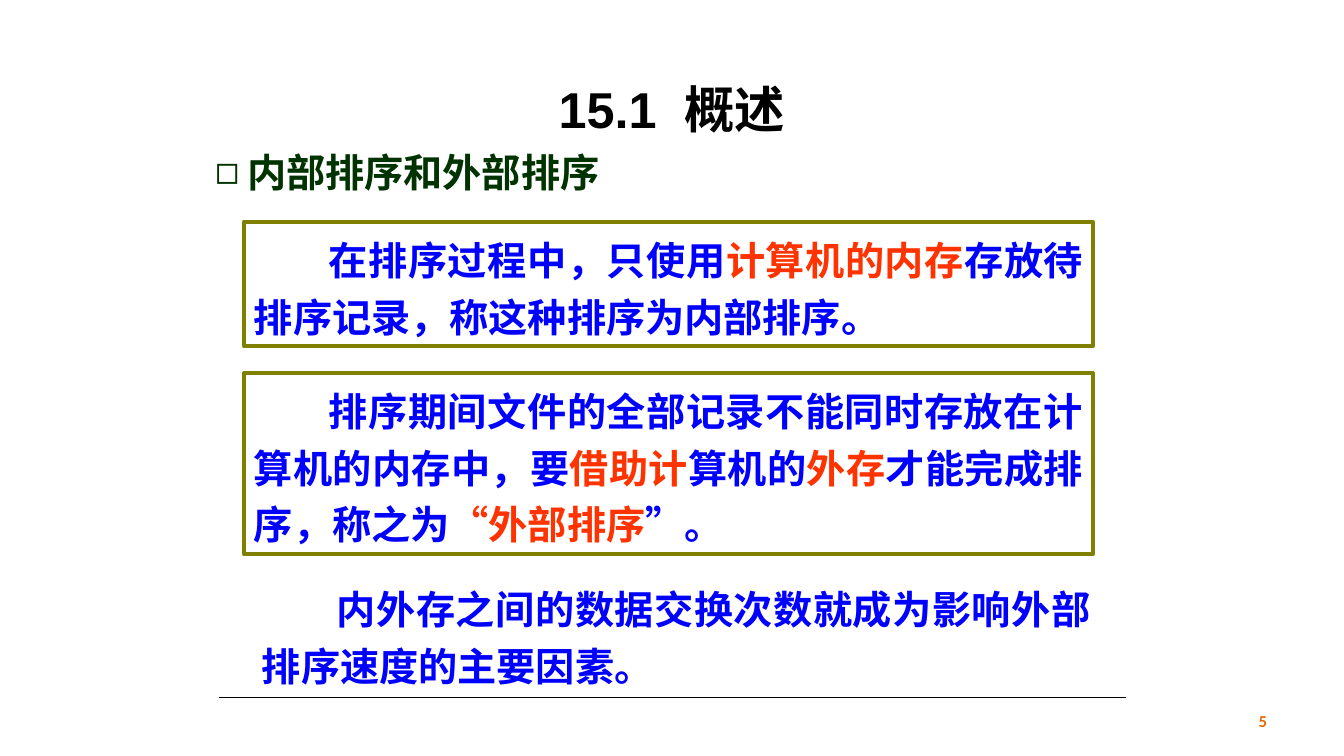
"""Build the slide that introduces internal and external sorting."""
from lxml.etree import SubElement
from pptx import Presentation
from pptx.dml.color import RGBColor
from pptx.enum.shapes import MSO_CONNECTOR, MSO_SHAPE
from pptx.enum.text import MSO_ANCHOR, MSO_AUTO_SIZE, PP_ALIGN
from pptx.oxml.ns import qn
from pptx.util import Pt

PX = 914400 / 100.8
BLUE, RED, OLIVE = "0000FF", "FF3300", "808000"


def px(*lengths):
    return [round(length * PX) for length in lengths]


def paint(color_format, color):
    color_format.rgb = RGBColor.from_string(color)


presentation = Presentation()
presentation.slide_width, presentation.slide_height = px(1344, 756)
slide = presentation.slides.add_slide(presentation.slide_layouts[1])

title, heading = slide.placeholders
number = slide.shapes.add_textbox(*px(964, 701, 313, 40))
title.left, title.top, title.width, title.height = px(67, 30, 1210, 126)
heading.left, heading.top, heading.width, heading.height = px(205, 143, 723, 57)

labels = [
    (title, "15.1  概述", "Arial", 36, "000000", PP_ALIGN.CENTER, MSO_ANCHOR.MIDDLE),
    (heading, "内部排序和外部排序", "Times New Roman", 28, "003300", PP_ALIGN.LEFT, MSO_ANCHOR.TOP),
    (number, "5", "Calibri", 12, "E46C0A", PP_ALIGN.RIGHT, MSO_ANCHOR.MIDDLE),
]
for shape, text, font_name, size, color, alignment, anchor in labels:
    frame = shape.text_frame
    frame.text = text
    frame.word_wrap = True
    frame.auto_size = MSO_AUTO_SIZE.NONE
    frame.vertical_anchor = anchor
    paragraph = frame.paragraphs[0]
    paragraph.alignment = alignment
    paragraph.space_before = Pt(0)
    if shape is title:
        paragraph.line_spacing = 1.5
    if shape is heading:
        properties = paragraph._p.get_or_add_pPr()
        indent = px(32)[0]
        properties.set("marL", str(indent))
        properties.set("indent", str(-indent))
        SubElement(properties, qn("a:buChar")).set("char", "◻")
    paragraph.font.name = font_name
    paragraph.font.size = Pt(size)
    paragraph.font.bold = True
    paint(paragraph.font.color, color)

rule = slide.shapes.add_connector(MSO_CONNECTOR.STRAIGHT, *px(219, 698, 1126, 698))
rule.line.width = Pt(0.75)
paint(rule.line.color, "000000")
SubElement(rule._element.spPr, qn("a:effectLst"))

statements = [
    (244, 222, 124, True, [
        ("在排序过程中，只使用", BLUE), ("计算机的内存", RED),
        ("存放待排序记录，称这种排序为内部排序。", BLUE)]),
    (244, 373, 181, True, [
        ("排序期间文件的全部记录不能同时存放在计算机的内存中，要", BLUE),
        ("借助计", RED), ("算机的", BLUE), ("外存", RED),
        ("才能完成排序，称之为", BLUE), ("“外部排序", RED), ("”。", BLUE)]),
    (252, 571, 123, False, [
        ("内外存之间的数据交换次数就成为影响外部排序速度的主要因素。", BLUE)]),
]
for left, top, height, framed, runs in statements:
    area = px(left, top, 849, height)
    if framed:
        shape = slide.shapes.add_shape(MSO_SHAPE.RECTANGLE, *area)
        shape.shadow.inherit = False
        shape.fill.background()
        shape.line.width = Pt(3)
        paint(shape.line.color, OLIVE)
    else:
        shape = slide.shapes.add_textbox(*area)
    frame = shape.text_frame
    frame.word_wrap = True
    frame.vertical_anchor = MSO_ANCHOR.TOP
    paragraph = frame.paragraphs[0]
    paragraph.alignment = PP_ALIGN.JUSTIFY
    paragraph.line_spacing = 1.2
    paragraph._p.get_or_add_pPr().set("indent", str(px(75)[0]))
    paragraph.font.name = "Times New Roman"
    paragraph.font.size = Pt(28)
    paragraph.font.bold = True
    for text, color in runs:
        run = paragraph.add_run()
        run.text = text
        paint(run.font.color, color)

presentation.save("out.pptx")
